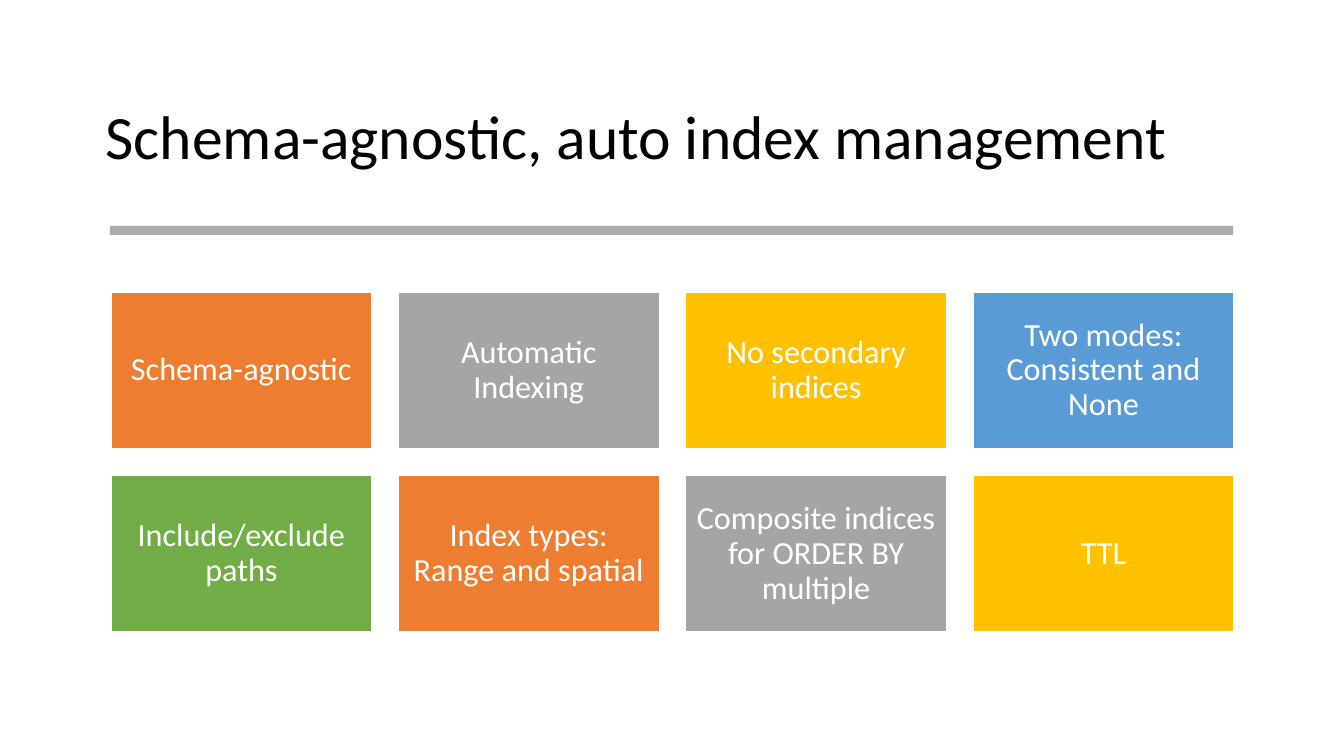
"""Build a slide on automatic index management: a title, a rule and a grid of eight tiles."""
from dataclasses import dataclass

from lxml import etree
from pptx import Presentation
from pptx.dml.color import RGBColor
from pptx.enum import shapes, text
from pptx.oxml import ns
from pptx.util import Inches, Pt


@dataclass(frozen=True)
class Theme:
    font: str = "Calibri"
    title_size: int = 44
    tile_size: int = 23
    ink: str = "000000"
    white: str = "FFFFFF"
    rule: str = "808080"
    rule_alpha: str = "65000"
    orange: str = "ED7D31"
    gray: str = "A5A5A5"
    gold: str = "FFC000"
    blue: str = "5B9BD5"
    green: str = "70AD47"


def add_block(left, top, width, height, color):
    block = slide.shapes.add_shape(
        shapes.MSO_SHAPE.RECTANGLE, Inches(left), Inches(top), Inches(width), Inches(height))
    block.shadow.inherit = False
    block.fill.solid()
    block.fill.fore_color.rgb = RGBColor.from_string(color)
    return block


def write(holder, words, size, color, align):
    frame = holder.text_frame
    frame.word_wrap = True
    frame.vertical_anchor = text.MSO_ANCHOR.MIDDLE
    frame.margin_left = frame.margin_right = Inches(0.1)
    paragraph = frame.paragraphs[0]
    paragraph.text = words
    paragraph.alignment = align
    paragraph.line_spacing = 0.9
    paragraph.font.name = theme.font
    paragraph.font.size = Pt(size)
    paragraph.font.color.rgb = RGBColor.from_string(color)
    return frame


theme = Theme()
presentation = Presentation()
presentation.slide_width = Inches(13.33)
presentation.slide_height = Inches(7.5)
slide = presentation.slides.add_slide(presentation.slide_layouts[6])

title = slide.shapes.add_textbox(Inches(0.95), Inches(0.66), Inches(11.43), Inches(1.45))
write(title, "Schema-agnostic, auto index management", theme.title_size, theme.ink,
      text.PP_ALIGN.LEFT)

rule = add_block(1.09, 2.24, 11.14, 0.09, theme.rule)
rule.line.fill.background()
rule_color = rule.fill._xPr.find(ns.qn("a:solidFill"))[0]
etree.SubElement(rule_color, ns.qn("a:alpha"), val=theme.rule_alpha)

topics = [
    ("Schema-agnostic", theme.orange),
    ("Automatic Indexing", theme.gray),
    ("No secondary indices", theme.gold),
    ("Two modes: Consistent and None", theme.blue),
    ("Include/exclude paths", theme.green),
    ("Index types: Range and spatial", theme.orange),
    ("Composite indices for ORDER BY multiple", theme.gray),
    ("TTL", theme.gold),
]
columns = 4
for index, (topic, color) in enumerate(topics):
    row, column = divmod(index, columns)
    tile = add_block(1.1 + column * 2.85, 2.9 + row * 1.82, 2.59, 1.55, color)
    tile.line.color.rgb = RGBColor.from_string(theme.white)
    tile.line.width = Pt(1)
    caption = write(tile, topic, theme.tile_size, theme.white, text.PP_ALIGN.CENTER)
    caption.margin_top = caption.margin_bottom = Inches(0.1)

presentation.save("out.pptx")
